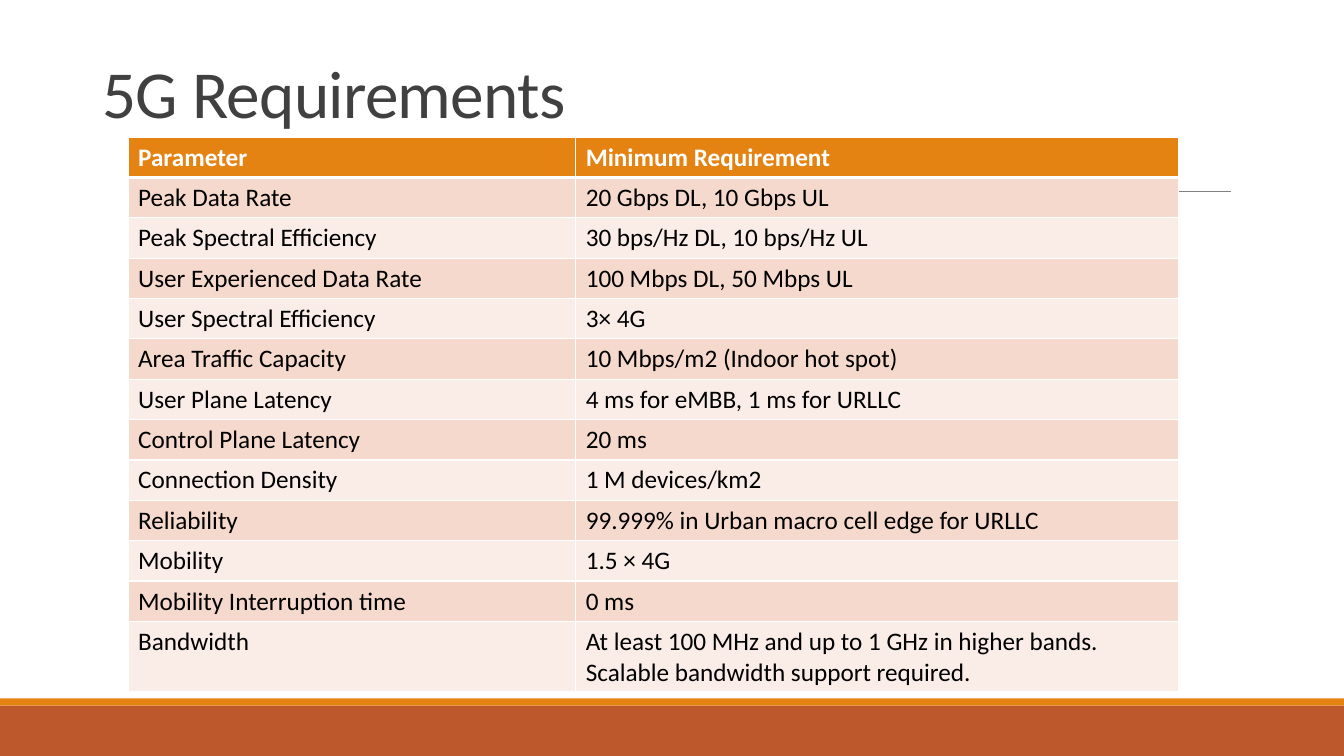
from pptx import Presentation
from pptx.dml.color import RGBColor
from pptx.enum.shapes import MSO_CONNECTOR as Connector, MSO_SHAPE as Shape
from pptx.enum.text import MSO_ANCHOR as Anchor
from pptx.oxml.ns import qn
from pptx.util import Inches, Pt
from lxml.etree import SubElement

WHITE = RGBColor(0xFF, 0xFF, 0xFF)
BLACK = RGBColor(0, 0, 0)
CHARCOAL = RGBColor(0x40, 0x40, 0x40)
GRAY = RGBColor(0x80, 0x80, 0x80)
ORANGE = RGBColor(0xE4, 0x83, 0x12)
RUST = RGBColor(0xBD, 0x58, 0x2C)
PEACH = RGBColor(0xF5, 0xD9, 0xCC)
PALE_PEACH = RGBColor(0xFA, 0xED, 0xE7)

REQUIREMENTS = [
    ("Parameter", "Minimum Requirement"),
    ("Peak Data Rate", "20 Gbps DL, 10 Gbps UL"),
    ("Peak Spectral Efficiency", "30 bps/Hz DL, 10 bps/Hz UL"),
    ("User Experienced Data Rate", "100 Mbps DL, 50 Mbps UL"),
    ("User Spectral Efficiency", "3× 4G"),
    ("Area Traffic Capacity", "10 Mbps/m2 (Indoor hot spot)"),
    ("User Plane Latency", "4 ms for eMBB, 1 ms for URLLC"),
    ("Control Plane Latency", "20 ms"),
    ("Connection Density", "1 M devices/km2"),
    ("Reliability", "99.999% in Urban macro cell edge for URLLC"),
    ("Mobility", "1.5 × 4G"),
    ("Mobility Interruption time", "0 ms"),
    ("Bandwidth", "At least 100 MHz and up to 1 GHz in higher bands. "
                  "Scalable bandwidth support required."),
]


class SlideBuilder:
    """Holds the text style and the current slide."""

    def __init__(self, slide, font_name):
        self.slide = slide
        self.font_name = font_name

    def add_text(self, paragraph, text, color, **formats):
        run = paragraph.add_run()
        run.text = text
        for name, value in {"name": self.font_name, **formats}.items():
            setattr(run.font, name, value)
        run.font.color.rgb = color
        return run

    def band(self, top, height, color):
        band = self.slide.shapes.add_shape(
            Shape.RECTANGLE, 0, Inches(top), Inches(13.33), Inches(height))
        band.shadow.inherit = False
        band.fill.solid()
        band.fill.fore_color.rgb = color
        band.line.fill.background()

    def rule(self, left, right, y, color):
        rule = self.slide.shapes.add_connector(
            Connector.STRAIGHT, Inches(left), Inches(y), Inches(right), Inches(y))
        rule.line.color.rgb = color
        rule.line.width = Pt(0.5)
        SubElement(rule._element.spPr, qn("a:effectLst"))

    def title(self, text, left, top, width, height):
        box = self.slide.shapes.add_textbox(
            Inches(left), Inches(top), Inches(width), Inches(height))
        frame = box.text_frame
        frame.word_wrap = True
        frame.vertical_anchor = Anchor.BOTTOM
        heading = frame.paragraphs[0]
        heading.line_spacing = 0.85
        run = self.add_text(heading, text, CHARCOAL, size=Pt(48))
        run._r.get_or_add_rPr().set("spc", "-50")

    def border(self, cell, **widths):
        properties = cell._tc.get_or_add_tcPr()
        for side, width in widths.items():
            edge = SubElement(properties, qn(f"a:ln{side}"), w=str(Pt(width)))
            fill = SubElement(edge, qn("a:solidFill"))
            SubElement(fill, qn("a:srgbClr"), val=str(WHITE))

    def table(self, rows, left, top, column_widths, row_heights):
        table = self.slide.shapes.add_table(
            len(rows), len(column_widths), Inches(left), Inches(top),
            Inches(sum(column_widths)), Inches(sum(row_heights))).table
        for column, width in zip(table.columns, column_widths):
            column.width = Inches(width)
        for r, texts in enumerate(rows):
            table.rows[r].height = Inches(row_heights[r])
            header = r == 0
            background = ORANGE if header else PEACH if r % 2 else PALE_PEACH
            for c, text in enumerate(texts):
                cell = table.cell(r, c)
                self.border(cell, L=1, R=1, T=3 if r == 1 else 1,
                            B=3 if header else 1)
                cell.fill.solid()
                cell.fill.fore_color.rgb = background
                self.add_text(cell.text_frame.paragraphs[0], text,
                              WHITE if header else BLACK, size=Pt(18), bold=header)


def main():
    deck = Presentation()
    deck.slide_width, deck.slide_height = Inches(13.33), Inches(7.5)
    builder = SlideBuilder(deck.slides.add_slide(deck.slide_layouts[6]), "Calibri")

    # Footer bands and title rule
    builder.band(7, 0.5, RUST)
    builder.band(6.93, 0.07, ORANGE)
    builder.rule(1.31, 12.21, 1.9, GRAY)

    # Title and requirements
    builder.title("5G Requirements", 0.92, 0.4, 11.5, 0.96)
    row_heights = [0.35] * (len(REQUIREMENTS) - 1) + [0.6]
    builder.table(REQUIREMENTS, 1.27, 1.36, (4.44, 5.98), row_heights)

    deck.save("out.pptx")


if __name__ == "__main__":
    main()
